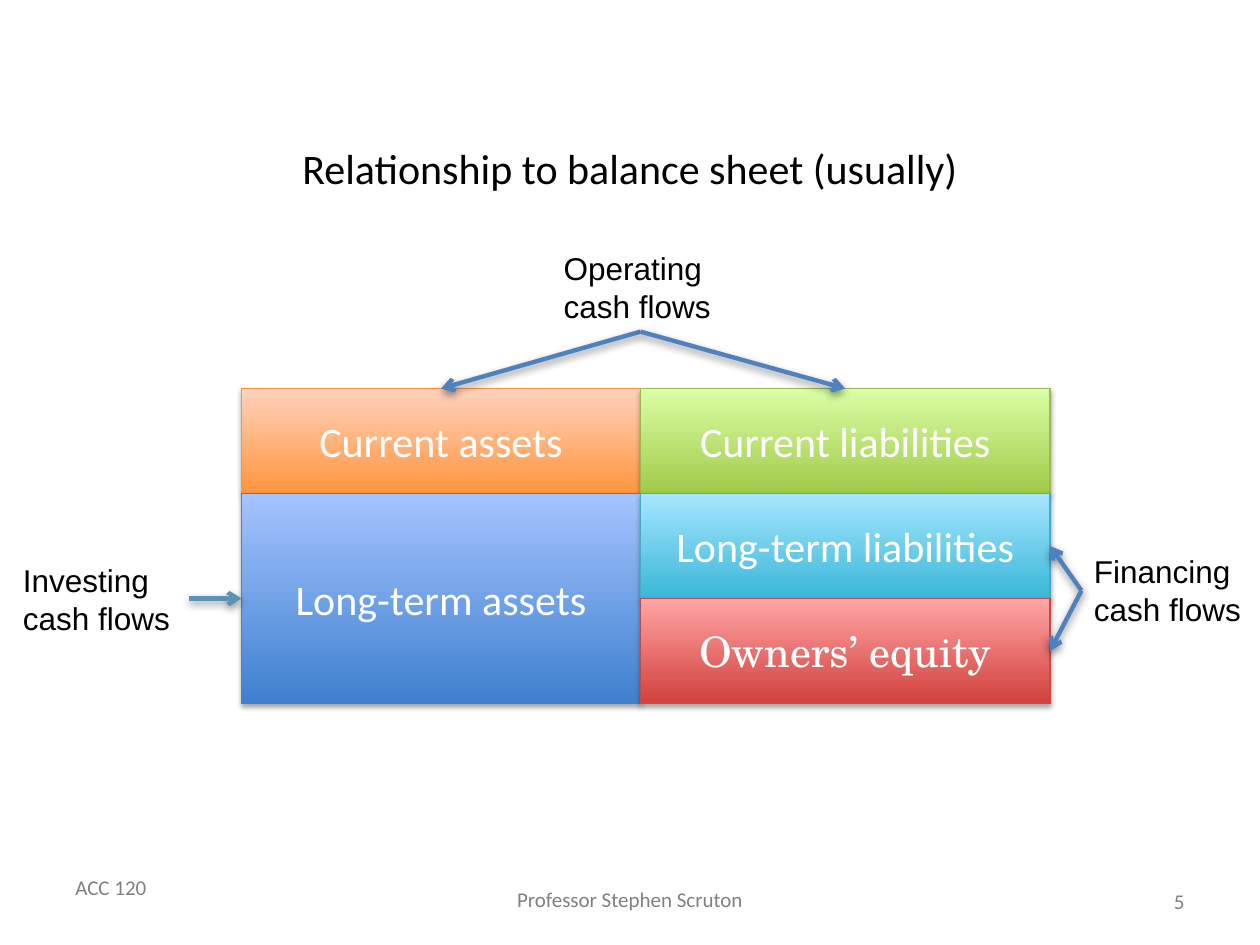
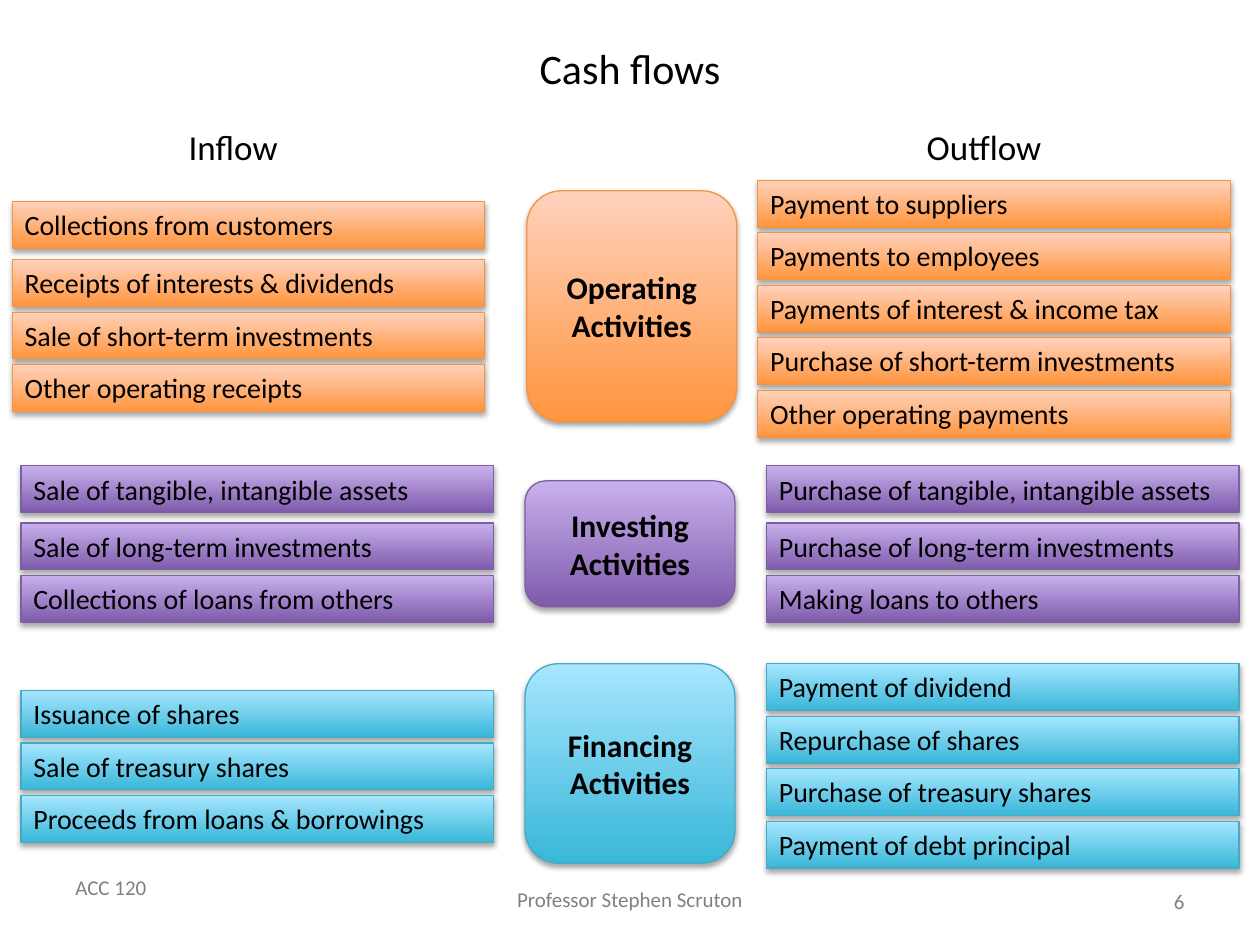
"""Two slides on cash flows: their place on the balance sheet, and their kinds."""
from collections import namedtuple
from dataclasses import dataclass

from lxml import etree
from pptx import Presentation
from pptx.dml.color import RGBColor
from pptx.enum import shapes, text
from pptx.oxml import ns
from pptx.util import Pt

Tone = namedtuple("Tone", "bottom top edge")
Shadow = namedtuple("Shadow", "opacity blur distance")


@dataclass(frozen=True)
class Theme:
    """Colours, fonts, type sizes and effects of the deck."""
    orange: Tone = Tone("FF953E", "FFD2BD", "F69240")
    green: Tone = Tone("A0CA4A", "DAFFA5", "98B955")
    blue: Tone = Tone("3F80CE", "A4C4FF", "4B7EBC")
    cyan: Tone = Tone("39B7D8", "A7E6FF", "46AAC5")
    red: Tone = Tone("D1403C", "FFA6A5", "BF4C48")
    purple: Tone = Tone("7F5BAB", "C8B0ED", "7D60A0")
    ink: str = "000000"
    white: str = "FFFFFF"
    grey: str = "808080"
    arrow: str = "4F81BD"
    pale_arrow: str = "5C92B5"
    font: str = "Calibri"
    label_font: str = "Arial"
    serif_font: str = "TeX Gyre Schola"
    title: int = 24
    heading: int = 20
    label: int = 18
    item: int = 16
    footer: int = 12
    box_shadow: Shadow = Shadow(35, 3.1, 1.8)
    arrow_shadow: Shadow = Shadow(45, 5, 2.1)


THEME = Theme()
LEFT, CENTER, RIGHT = text.PP_ALIGN.LEFT, text.PP_ALIGN.CENTER, text.PP_ALIGN.RIGHT
TOP, MIDDLE = text.MSO_ANCHOR.TOP, text.MSO_ANCHOR.MIDDLE


def write(shape, words, size, font=THEME.font, color=THEME.ink, bold=False,
          align=LEFT, anchor=TOP, wrap=True, grow=False):
    """Put one formatted paragraph into a shape."""
    frame = shape.text_frame
    frame.text = words
    frame.word_wrap = wrap
    frame.vertical_anchor = anchor
    fit = text.MSO_AUTO_SIZE
    frame.auto_size = fit.SHAPE_TO_FIT_TEXT if grow else fit.NONE
    paragraph = frame.paragraphs[0]
    paragraph.alignment = align
    style = paragraph.runs[0].font
    style.name, style.size, style.bold = font, Pt(size), bold
    style.color.rgb = RGBColor.from_string(color)


def points(*lengths):
    """Turn numbers into lengths in points."""
    return [Pt(length) for length in lengths]


def cast_shadow(shape, shadow):
    """Append a downward shadow; the outline must be set beforehand."""
    effects = etree.SubElement(shape.element.spPr, ns.qn("a:effectLst"))
    outer = etree.SubElement(
        effects, ns.qn("a:outerShdw"), blurRad=str(Pt(shadow.blur)),
        dist=str(Pt(shadow.distance)), dir="5400000", rotWithShape="0")
    black = etree.SubElement(outer, ns.qn("a:srgbClr"), val=THEME.ink)
    etree.SubElement(black, ns.qn("a:alpha"), val=str(shadow.opacity * 1000))


class Deck:
    """The presentation, its style and the slide being filled."""

    def __init__(self, theme):
        """Open an empty 10 by 7.5 inch deck."""
        self.theme = theme
        self.show = Presentation()
        self.show.slide_width, self.show.slide_height = points(720, 540)
        self.slide = None

    def start_slide(self, title, top, number):
        """Add a slide with its title and footers."""
        self.slide = self.show.slides.add_slide(self.show.slide_layouts[0])
        subtitle = self.slide.placeholders[1].element
        subtitle.getparent().remove(subtitle)
        heading = self.slide.shapes.title
        heading.left, heading.top, heading.width, heading.height = points(54, top, 612, 50.4)
        write(heading, title, self.theme.title, align=CENTER, anchor=MIDDLE)
        footer = dict(size=self.theme.footer, color=self.theme.grey)
        self.text("ACC 120", (36, 496, 55.4, 21.6), wrap=False, grow=True, **footer)
        self.text("Professor Stephen Scruton", (287.3, 503.3, 145.4, 21.6),
                  align=CENTER, wrap=False, grow=True, **footer)
        self.text(str(number), (516, 500.4, 168, 28.8),
                  align=RIGHT, anchor=MIDDLE, **footer)

    def text(self, words, place, holder=None, **style):
        """Add a text box to the slide or to a group."""
        owner = holder or self.slide
        write(owner.shapes.add_textbox(*points(*place)), words, **style)

    def box(self, words, place, tone, kind=shapes.MSO_SHAPE.RECTANGLE, **style):
        """Add a shaded box with an outline and a shadow."""
        box = self.slide.shapes.add_shape(kind, *points(*place))
        box.fill.gradient()
        box.fill.gradient_angle = 90
        for stop, color in zip(box.fill.gradient_stops, (tone.bottom, tone.top)):
            stop.color.rgb = RGBColor.from_string(color)
        box.line.color.rgb = RGBColor.from_string(tone.edge)
        box.line.width = Pt(0.75)
        cast_shadow(box, self.theme.box_shadow)
        write(box, words, **style)

    def arrow(self, start, end, color, holder):
        """Add an arrow to a group."""
        arrow = holder.shapes.add_connector(
            shapes.MSO_CONNECTOR.STRAIGHT, *points(*start, *end))
        arrow.line.color.rgb = RGBColor.from_string(color)
        arrow.line.width = Pt(2.5)
        etree.SubElement(arrow.line._get_or_add_ln(), ns.qn("a:tailEnd"), type="arrow")
        cast_shadow(arrow, self.theme.arrow_shadow)

    def callout(self, words, corner, start, ends, color):
        """Group a label with the arrows that leave it."""
        group = self.slide.shapes.add_group_shape()
        self.text(words, (*corner, 102, 51), holder=group, size=self.theme.label,
                  font=self.theme.label_font, grow=True)
        for end in ends:
            self.arrow(start, end, color, group)

    def bars(self, items, left, top, tone, first_step=30):
        """Stack bars 30 points apart; the first step may differ."""
        for row, item in enumerate(items):
            offset = first_step + 30 * (row - 1) if row else 0
            self.box(item, (left, top + offset, 270, 26.66), tone,
                     size=self.theme.item, grow=True)


def balance_sheet(deck):
    """Show which cash flows touch which part of the balance sheet."""
    theme = deck.theme
    deck.start_slide("Relationship to balance sheet (usually)", 70.5, 5)
    left, middle, right = 138, 366, 600
    top, row = 222, 60
    assets, claims = (left, middle - left), (middle, right - middle)
    for words, (x, width), first, rows, tone, font in (
            ("Current assets", assets, 0, 1, theme.orange, theme.font),
            ("Current liabilities", claims, 0, 1, theme.green, theme.font),
            ("Long-term assets", assets, 1, 2, theme.blue, theme.font),
            ("Long-term liabilities", claims, 1, 1, theme.cyan, theme.font),
            ("Owners’ equity", claims, 2, 1, theme.red, theme.serif_font)):
        deck.box(words, (x, top + first * row, width, rows * row), tone,
                 size=theme.title, font=font, color=theme.white,
                 align=CENTER, anchor=MIDDLE)
    deck.callout("Investing cash flows", (6, 317), (108, 342),
                 [(left, 342)], theme.pale_arrow)
    deck.callout("Financing cash flows", (618, 312), (618, 337.5),
                 [(right, 312), (right, 372)], theme.arrow)
    deck.callout("Operating cash flows", (315, 139), (middle, 189.5),
                 [(252, top), (483, top)], theme.arrow)


def cash_flows(deck):
    """List inflows and outflows beside each kind of activity."""
    theme = deck.theme
    deck.start_slide("Cash flows", 13.5, 6)
    for words, left in (("Inflow", 27.4), ("Outflow", 456.5)):
        deck.text(words, (left, 58.5, 211.7, 50.4), size=theme.heading,
                  align=CENTER, anchor=MIDDLE)

    deck.bars(["Collections from customers", "Receipts of interests & dividends",
               "Sale of short-term investments", "Other operating receipts"],
              7, 115, theme.orange, first_step=33.4)
    deck.bars(["Payment to suppliers", "Payments to employees",
               "Payments of interest & income tax",
               "Purchase of short-term investments", "Other operating payments"],
              433, 103, theme.orange)
    deck.bars(["Sale of tangible, intangible assets", "Sale of long-term investments",
               "Collections of loans from others"],
              12, 266.2, theme.purple, first_step=32.6)
    deck.bars(["Purchase of tangible, intangible assets",
               "Purchase of long-term investments", "Making loans to others"],
              438, 266.2, theme.purple, first_step=32.6)
    deck.bars(["Issuance of shares", "Sale of treasury shares",
               "Proceeds from loans & borrowings"], 12, 394.6, theme.cyan)
    deck.bars(["Payment of dividend", "Repurchase of shares",
               "Purchase of treasury shares", "Payment of debt principal"],
              438, 379.3, theme.cyan)

    for activity, left, top, height, tone in (
            ("Operating", 301, 109, 132, theme.orange),
            ("Investing", 300, 274.8, 72, theme.purple),
            ("Financing", 300, 379.3, 114, theme.cyan)):
        deck.box(f"{activity} Activities", (left, top, 120, height), tone,
                 kind=shapes.MSO_SHAPE.FLOWCHART_ALTERNATE_PROCESS,
                 size=theme.label, bold=True, align=CENTER, anchor=MIDDLE)


def main():
    """Build and save the deck."""
    deck = Deck(THEME)
    balance_sheet(deck)
    cash_flows(deck)
    deck.show.save("out.pptx")


main()
